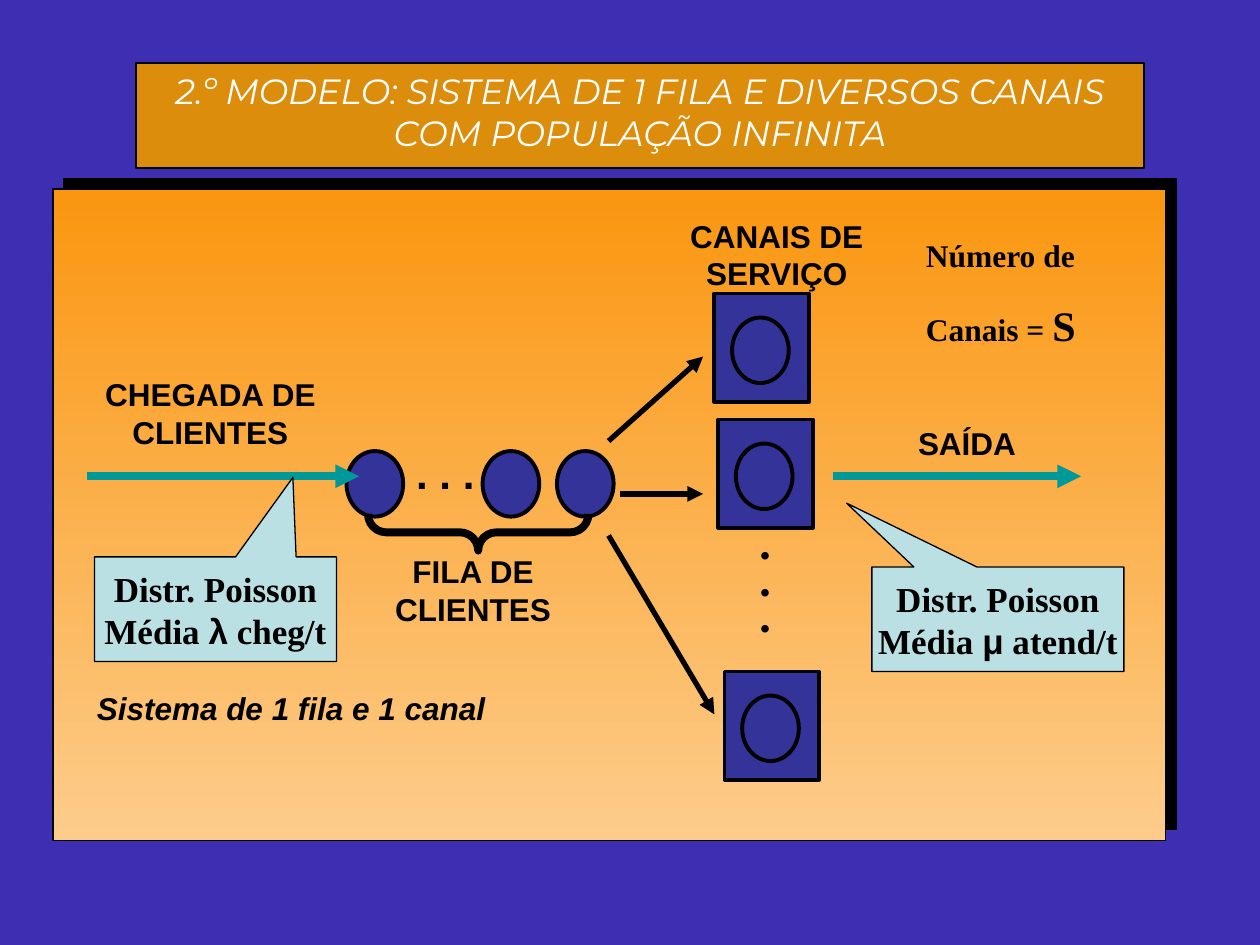
"""Build the slide on a queue system with one line and several channels."""
import pptx
import pptx.dml.color
import pptx.enum.shapes
import pptx.enum.text
import pptx.oxml
import pptx.oxml.ns
import pptx.util

RGBColor = pptx.dml.color.RGBColor
Inches = pptx.util.Inches
Pt = pptx.util.Pt
Shape = pptx.enum.shapes.MSO_SHAPE
Align = pptx.enum.text.PP_ALIGN
Anchor = pptx.enum.text.MSO_ANCHOR
AutoSize = pptx.enum.text.MSO_AUTO_SIZE
qn = pptx.oxml.ns.qn

BACKGROUND = RGBColor(0x3E, 0x2E, 0xB2)
TITLE_FILL = RGBColor(0xDC, 0x8D, 0x0C)
PANEL_TOP = RGBColor(0xFA, 0x96, 0x10)
PANEL_BOTTOM = RGBColor(0xFD, 0xCC, 0x8B)
INDIGO = RGBColor(0x33, 0x33, 0x99)
TEAL = RGBColor(0x00, 0x99, 0x99)
PALE_BLUE = RGBColor(0xBB, 0xE0, 0xE3)
BLACK = RGBColor(0, 0, 0)
WHITE = RGBColor(0xFF, 0xFF, 0xFF)


def write_text(para, text, font="Arial", size=18, color=BLACK, bold=True, italic=False):
    span = para.add_run()
    span.text = text
    span.font.name = font
    span.font.size = Pt(size)
    span.font.color.rgb = color
    span.font.bold = bold
    span.font.italic = italic


class QueueSlide:
    def __init__(self, deck):
        self.page = deck.slides.add_slide(deck.slide_layouts[5])
        self.page.background.fill.solid()
        self.page.background.fill.fore_color.rgb = BACKGROUND

    def outline(self, shape, fill, width):
        if fill is not None:
            shape.fill.solid()
            shape.fill.fore_color.rgb = fill
        shape.line.color.rgb = BLACK
        shape.line.width = Pt(width)

    def title(self, text, left, top, width, height):
        box = self.page.shapes.title
        box.left, box.top = Inches(left), Inches(top)
        box.width, box.height = Inches(width), Inches(height)
        self.outline(box, TITLE_FILL, 0.75)
        frame = box.text_frame
        frame.vertical_anchor = Anchor.TOP
        frame.word_wrap = True
        frame.auto_size = AutoSize.SHAPE_TO_FIT_TEXT
        para = frame.paragraphs[0]
        para.alignment = Align.CENTER
        write_text(para, text, font="Montserrat", size=20, color=WHITE, bold=False, italic=True)

    def shape(self, kind, left, top, width, height, fill=None, line=2.25, parent=None):
        shapes = (parent or self.page).shapes
        shape = shapes.add_shape(kind, Inches(left), Inches(top), Inches(width), Inches(height))
        shape.shadow.inherit = False
        self.outline(shape, fill, line)
        return shape

    def panel(self, left, top, width, height):
        panel = self.shape(Shape.RECTANGLE, left, top, width, height, line=0.75)
        panel.fill.gradient()
        panel.fill.gradient_angle = 270
        for stop, color, position in zip(panel.fill.gradient_stops, (PANEL_TOP, PANEL_BOTTOM), (0, 1)):
            stop.color.rgb = color
            stop.position = position
        effects = panel.element.spPr.find(qn("a:effectLst"))
        effects.append(pptx.oxml.parse_xml(
            f'<a:outerShdw {pptx.oxml.ns.nsdecls("a")} dist="{Pt(8.5)}" dir="{315 * 60000}" '
            f'algn="ctr" rotWithShape="0"><a:srgbClr val="{BLACK}"/></a:outerShdw>'))

    def customer(self, left, top, parent=None):
        self.shape(Shape.OVAL, left, top, 0.45, 0.52, INDIGO, parent=parent)

    def channel(self, left, top):
        group = self.page.shapes.add_group_shape()
        self.shape(Shape.RECTANGLE, left, top, 0.75, 0.86, INDIGO, parent=group)
        self.customer(left + 0.14, top + 0.19, group)

    def brace(self, left, top, width, height):
        middle, center = left + width / 2, top + height / 2
        brace = self.shape(Shape.RIGHT_BRACE, middle - height / 2, center - width / 2,
                           height, width, line=4.5)
        brace.fill.background()
        brace.adjustments[0] = 0.5
        brace.rotation = 90

    def label(self, text, left, top, width, height, align=Align.CENTER, **style):
        self.text_box([[(text, style)]], left, top, width, height, align)

    def text_box(self, lines, left, top, width, height, align=Align.LEFT, wrap=True,
                 gap=0, spacing=None):
        box = self.page.shapes.add_textbox(Inches(left), Inches(top), Inches(width), Inches(height))
        box.text_frame.word_wrap = wrap
        box.text_frame.auto_size = AutoSize.SHAPE_TO_FIT_TEXT
        self.fill_lines(box.text_frame, lines, align, gap, spacing)

    def fill_lines(self, frame, lines, align, gap=0, spacing=None):
        for index, spans in enumerate(lines):
            para = frame.add_paragraph() if index else frame.paragraphs[0]
            para.alignment = align
            if spacing:
                para.line_spacing = spacing
            if index and gap:
                para.space_before = Pt(gap)
            for text, style in spans:
                write_text(para, text, **style)

    def callout(self, symbol, unit, left, top, width, tip):
        box = self.shape(Shape.RECTANGULAR_CALLOUT, left, top, width, 0.83, PALE_BLUE, 0.75)
        box.adjustments[0], box.adjustments[1] = tip
        frame = box.text_frame
        frame.word_wrap = False
        frame.vertical_anchor = Anchor.MIDDLE
        serif = {"font": "Times New Roman", "size": 20}
        self.fill_lines(frame, [
            [("Distr. Poisson", serif)],
            [("Média ", serif), (symbol, {"size": 20}), (f" {unit}", serif)],
        ], Align.CENTER)

    def arrow(self, start, end, color=BLACK, width=3):
        arrow = self.page.shapes.add_connector(
            pptx.enum.shapes.MSO_CONNECTOR.STRAIGHT, *map(Inches, start + end))
        arrow.line.color.rgb = color
        arrow.line.width = Pt(width)
        properties = arrow.element.spPr
        head = pptx.oxml.parse_xml(f'<a:tailEnd {pptx.oxml.ns.nsdecls("a")} type="triangle"/>')
        properties.find(qn("a:ln")).append(head)
        properties.append(pptx.oxml.parse_xml(f'<a:effectLst {pptx.oxml.ns.nsdecls("a")}/>'))


def main():
    deck = pptx.Presentation()
    deck.slide_width, deck.slide_height = Inches(10), Inches(7.5)
    slide = QueueSlide(deck)

    slide.title("2.º MODELO: SISTEMA DE 1 FILA E DIVERSOS CANAIS COM POPULAÇÃO INFINITA",
                1.08, 0.5, 8, 0.77)
    slide.panel(0.42, 1.5, 8.83, 5.17)

    slide.channel(5.7, 3.33)
    for left in (2.75, 3.83, 4.42):
        slide.customer(left, 3.58)
    slide.label("CHEGADA DE CLIENTES", 0.67, 2.93, 2, 0.7)
    slide.arrow((0.69, 3.78), (2.85, 3.78), TEAL, 4.5)
    slide.label(". . .", 3.2, 3.5, 0.67, 0.5, size=24)
    slide.brace(2.92, 4.08, 1.75, 0.29)
    slide.label("FILA DE CLIENTES", 2.92, 4.33, 1.67, 0.7)
    slide.label("CANAIS DE SERVIÇO", 5.33, 1.67, 1.67, 0.7)
    slide.arrow((6.61, 3.78), (8.58, 3.78), TEAL, 4.5)
    slide.label("SAÍDA", 6.84, 3.32, 1.67, 0.4)
    slide.label("Sistema de 1 fila e 1 canal", 0.67, 5.42, 4.08, 0.4, Align.LEFT, italic=True)

    slide.callout("λ", "cheg/t", 0.75, 4.42, 1.92, (0.32, -1.26))
    slide.callout("μ", "atend/t", 6.92, 4.5, 2, (-0.6, -1.11))

    slide.channel(5.67, 2.33)
    slide.channel(5.75, 5.33)
    dot = [(".", {"font": "TeX Gyre Bonum", "size": 24})]
    slide.text_box([dot] * 3, 5.92, 4.33, 0.31, 0.76, wrap=False, gap=15, spacing=0.2)
    for start, end in (((4.83, 3.5), (5.58, 2.83)),
                       ((4.92, 3.92), (5.58, 3.92)),
                       ((4.83, 4.25), (5.67, 5.67))):
        slide.arrow(start, end)

    serif = {"font": "Times New Roman"}
    slide.text_box([
        [("Número de", serif)],
        [("Canais = ", serif), ("S", {**serif, "size": 24})],
    ], 7.25, 1.82, 1.45, 1.01, wrap=False, gap=15)

    deck.save("out.pptx")


if __name__ == "__main__":
    main()
